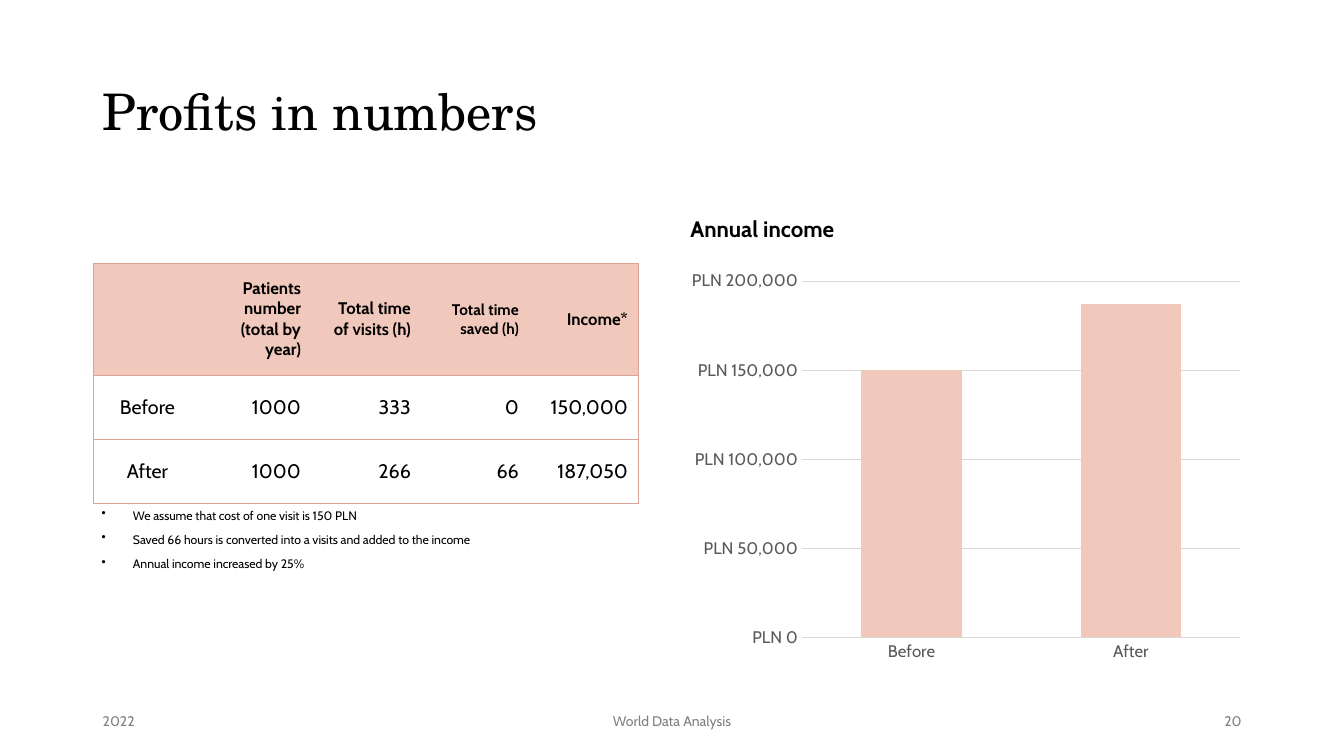
from lxml import etree
from pptx import Presentation
from pptx.chart.data import CategoryChartData
from pptx.dml.color import RGBColor
from pptx.enum.chart import XL_CHART_TYPE, XL_TICK_MARK
from pptx.enum.text import MSO_ANCHOR, PP_ALIGN
from pptx.oxml.ns import qn
from pptx.util import Cm, Pt

LEFT, CENTER, RIGHT = PP_ALIGN.LEFT, PP_ALIGN.CENTER, PP_ALIGN.RIGHT
MIDDLE = MSO_ANCHOR.MIDDLE
COLUMNS = XL_CHART_TYPE.COLUMN_CLUSTERED
NO_TICK = XL_TICK_MARK.NONE

SERIF, SANS = "TeX Gyre Schola", "Cabin"
BLACK, AXIS_GREY, FOOTER_GREY = "000000", "595959", "808080"
GRID, PINK, BORDER = "D9D9D9", "F0C8BC", "D9A491"
NO_STYLE = "{2D5ABB26-0587-4C30-8999-92F81FD0307C}"

TITLE = "Profits in numbers"
CHART_TITLE = "Annual income"
NOTES = [
    "We assume that cost of one visit is 150 PLN",
    "Saved 66 hours is converted into a visits and added to the income",
    "Annual income increased by 25%",
]
TABLE = [
    ["", "Patients number (total by year)", "Total time of visits (h)",
     "Total time saved (h)", "Income*"],
    ["Before", "1000", "333", "0", "150,000"],
    ["After", "1000", "266", "66", "187,050"],
]
HEADER_SIZES = [12, 12, 12, 11, 12]
COLUMN_WIDTHS = [2.75, 2.75, 2.77, 2.72, 2.75]
ROW_HEIGHTS = [2.82, 1.62, 1.62]
INCOME = {"Before": 150000, "After": 187000}
FOOTER = [("2022", 2.34, 7.62, LEFT), ("World Data Analysis", 11.22, 11.43, CENTER),
          ("20", 23.92, 7.62, RIGHT)]

PAGE_WIDTH, PAGE_HEIGHT = 33.87, 19.05
MARGIN, CHART_LEFT, CHART_WIDTH = 2.34, 17.15, 14.4
TABLE_TOP, BULLET_INDENT = 6.63, 0.79


def rgb(color):
    return RGBColor.from_string(color)


def style_font(font, size, color=BLACK, name=SANS, bold=False):
    values = {"size": Pt(size), "name": name, "bold": bold}
    for attribute, value in values.items():
        setattr(font, attribute, value)
    font.color.rgb = rgb(color)


def add_bullet(para):
    properties = para._p.get_or_add_pPr()
    properties.set("marL", str(Cm(BULLET_INDENT)))
    properties.set("indent", str(-Cm(BULLET_INDENT)))
    etree.SubElement(properties, qn("a:buChar")).set("char", "•")


def add_text(page, area, lines, size, align=LEFT, spacing=1.0, bullets=False, **style):
    frame = page.shapes.add_textbox(*map(Cm, area)).text_frame
    frame.word_wrap = True
    frame.vertical_anchor = MIDDLE
    for index, line in enumerate(lines):
        para = frame.paragraphs[0] if index == 0 else frame.add_paragraph()
        para.alignment = align
        para.line_spacing = spacing
        if index:
            para.space_before = Pt(10)
        if bullets:
            add_bullet(para)
        span = para.add_run()
        span.text = line
        style_font(span.font, size, **style)


def add_border(cell, side):
    line = etree.SubElement(cell._tc.get_or_add_tcPr(), qn(f"a:ln{side}"), w=str(Pt(0.5)))
    fill = etree.SubElement(line, qn("a:solidFill"))
    etree.SubElement(fill, qn("a:srgbClr"), val=BORDER)


def add_income_table(page):
    area = (MARGIN, TABLE_TOP, sum(COLUMN_WIDTHS), sum(ROW_HEIGHTS))
    frame = page.shapes.add_table(len(TABLE), len(TABLE[0]), *map(Cm, area))
    table = frame.table
    table.first_row = table.horz_banding = False
    table._tbl.tblPr.find(qn("a:tableStyleId")).text = NO_STYLE
    for column, width in zip(table.columns, COLUMN_WIDTHS):
        column.width = Cm(width)
    for row, height in zip(table.rows, ROW_HEIGHTS):
        row.height = Cm(height)

    last = len(COLUMN_WIDTHS) - 1
    for row_index, row in enumerate(TABLE):
        header = row_index == 0
        for column_index, text in enumerate(row):
            cell = table.cell(row_index, column_index)
            cell.vertical_anchor = MIDDLE
            # Outer frame and row rules only
            sides = {"L": column_index == 0, "R": column_index == last,
                     "T": True, "B": True}
            for side, shown in sides.items():
                if shown:
                    add_border(cell, side)
            if header:
                cell.fill.solid()
                cell.fill.fore_color.rgb = rgb(PINK)
            else:
                cell.fill.background()
            if text:
                para = cell.text_frame.paragraphs[0]
                para.alignment = RIGHT if column_index else CENTER
                span = para.add_run()
                span.text = text
                size = HEADER_SIZES[column_index] if header else 14
                style_font(span.font, size, bold=header)


def add_income_chart(page):
    data = CategoryChartData()
    data.categories = list(INCOME)
    data.add_series("Series 1", list(INCOME.values()))
    area = (CHART_LEFT, TABLE_TOP, CHART_WIDTH, 10.24)
    chart = page.shapes.add_chart(COLUMNS, *map(Cm, area), data).chart
    chart.has_title = chart.has_legend = False
    style_font(chart.font, 10)

    plot = chart.plots[0]
    plot.gap_width, plot.overlap, plot.vary_by_categories = 118, -3, False
    bars = plot.series[0].format.fill
    bars.solid()
    bars.fore_color.rgb = rgb(PINK)

    categories, values = chart.category_axis, chart.value_axis
    for axis in (categories, values):
        axis.major_tick_mark = axis.minor_tick_mark = NO_TICK
        style_font(axis.tick_labels.font, 12, AXIS_GREY)
    scale = {"minimum_scale": 0, "maximum_scale": 200000, "major_unit": 50000,
             "has_major_gridlines": True}
    for attribute, value in scale.items():
        setattr(values, attribute, value)
    values.tick_labels.number_format = r"[$PLN]\ #,##0"
    values.tick_labels.number_format_is_linked = False
    values.format.line.fill.background()
    for line in (categories.format.line, values.major_gridlines.format.line):
        line.width = Pt(0.75)
        line.color.rgb = rgb(GRID)


def main():
    deck = Presentation()
    deck.slide_width, deck.slide_height = Cm(PAGE_WIDTH), Cm(PAGE_HEIGHT)
    page = deck.slides.add_slide(deck.slide_layouts[6])
    add_text(page, (MARGIN, 1.98, 29.21, 1.78), [TITLE], 36, spacing=0.9, name=SERIF)
    add_text(page, (2.31, 12.75, 13.74, 1.78), NOTES, 8.8, spacing=0.7, bullets=True)
    add_income_table(page)
    add_text(page, (CHART_LEFT, 5.05, CHART_WIDTH, 1.52), [CHART_TITLE], 16,
             spacing=0.9, bold=True)
    add_income_chart(page)
    for text, left, width, align in FOOTER:
        add_text(page, (left, 17.65, width, 1.02), [text], 10, align, color=FOOTER_GREY)
    deck.save("out.pptx")


if __name__ == "__main__":
    main()
